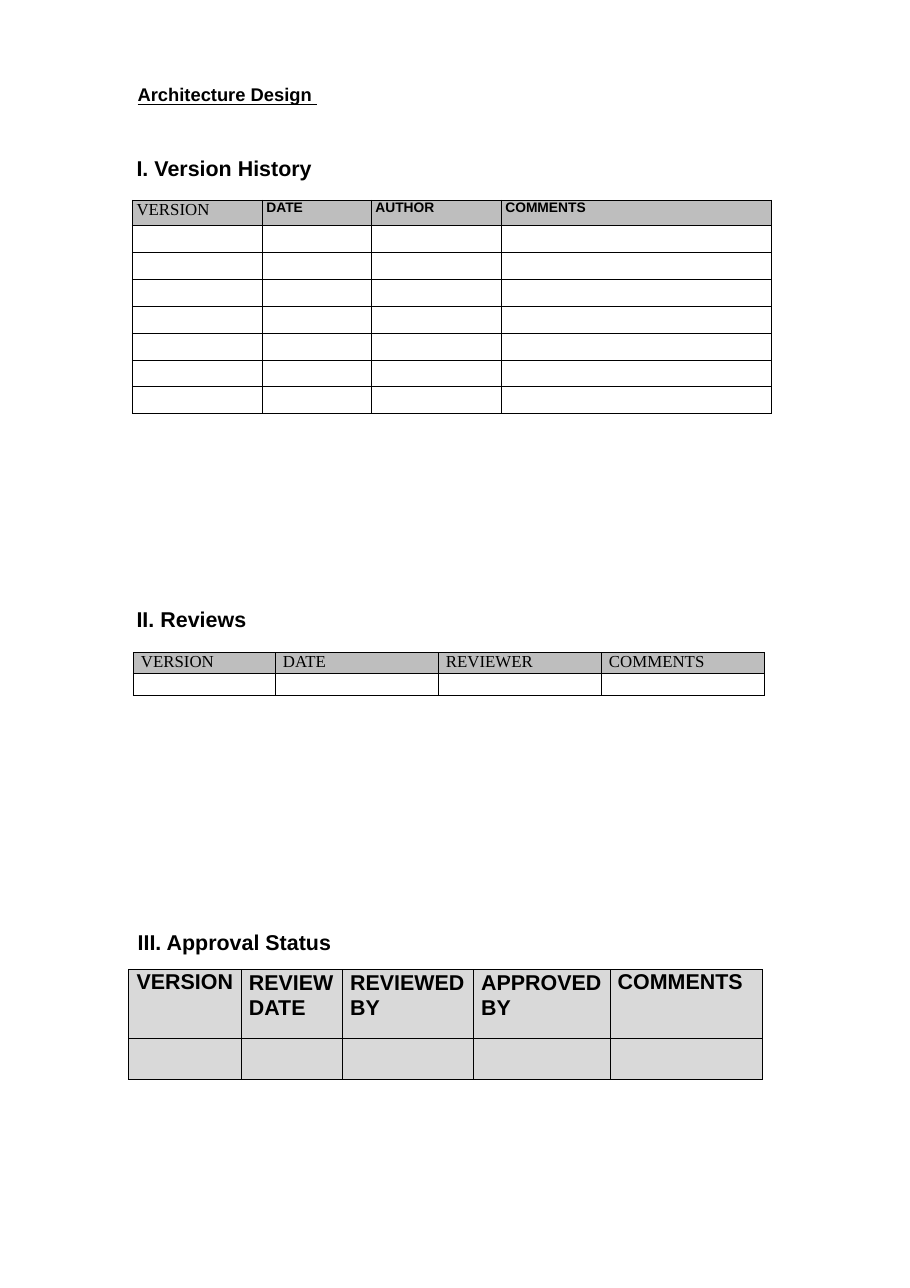
import dataclasses
import typing

import lxml.etree
import pptx
import pptx.dml.color
import pptx.enum.text
import pptx.oxml.ns
import pptx.util

Inches = pptx.util.Inches
Pt = pptx.util.Pt
RGBColor = pptx.dml.color.RGBColor

PAGE_SIZE = {"slide_width": Pt(595), "slide_height": Pt(842.5)}


@dataclasses.dataclass(frozen=True)
class Theme:
    ink: RGBColor = RGBColor(0, 0, 0)
    header_gray: RGBColor = RGBColor(0xBE, 0xBE, 0xBE)
    approval_gray: RGBColor = RGBColor(0xD9, 0xD9, 0xD9)
    sans: str = "Arial"
    serif: str = "Times New Roman"
    title_size: float = 12
    heading_size: float = 14
    serif_label_size: float = 11
    sans_label_size: float = 9
    border_width: float = 0.58


THEME = Theme()


def font_format(name: str, size: float, bold: bool, underline: bool = False) -> dict[str, typing.Any]:
    return {"name": name, "size": Pt(size), "bold": bold, "underline": underline}


TITLE_FONT = font_format(THEME.sans, THEME.title_size, True, True)
HEADING_FONT = font_format(THEME.sans, THEME.heading_size, True)
SERIF_LABEL = font_format(THEME.serif, THEME.serif_label_size, False)
SANS_LABEL = font_format(THEME.sans, THEME.sans_label_size, True)


@dataclasses.dataclass(frozen=True)
class Heading:
    placeholder: int
    text: str
    left: float
    top: float
    width: float
    height: float
    font: dict[str, typing.Any]


@dataclasses.dataclass(frozen=True)
class Column:
    label: str
    width: float
    font: dict[str, typing.Any]
    line_spacing: float = 1.0


@dataclasses.dataclass(frozen=True)
class Form:
    left: float
    top: float
    header_height: float
    empty_height: float
    empty_rows: int
    indent: float
    header_fill: RGBColor
    empty_fill: RGBColor | None
    columns: list[Column]


HEADINGS = [
    Heading(0, "Architecture Design ", 1.25, 0.76, 5.86, 0.2, TITLE_FONT),
    Heading(1, "I. Version History", 1.24, 1.41, 5.86, 0.22, HEADING_FONT),
    Heading(2, "II. Reviews", 1.24, 5.51, 1.02, 0.22, HEADING_FONT),
    Heading(3, "III. Approval Status", 1.25, 8.44, 1.79, 0.22, HEADING_FONT),
]

VERSION_HISTORY = Form(1.2, 1.82, 0.23, 1.71 / 7, 7, 0.04, THEME.header_gray, None, [
    Column("VERSION", 1.18, SERIF_LABEL),
    Column("DATE", 0.99, SANS_LABEL),
    Column("AUTHOR", 1.18, SANS_LABEL),
    Column("COMMENTS", 2.46, SANS_LABEL),
])
REVIEWS = Form(1.21, 5.93, 0.19, 0.2, 1, 0.07, THEME.header_gray, None, [
    Column("VERSION", 1.29, SERIF_LABEL),
    Column("DATE", 1.48, SERIF_LABEL),
    Column("REVIEWER", 1.48, SERIF_LABEL),
    Column("COMMENTS", 1.48, SERIF_LABEL),
])
APPROVAL_STATUS = Form(1.17, 8.81, 0.62, 0.38, 1, 0.07, THEME.approval_gray, THEME.approval_gray, [
    Column("VERSION", 1.02, HEADING_FONT),
    Column("REVIEW DATE", 0.92, HEADING_FONT, 1.04),
    Column("REVIEWED BY", 1.19, HEADING_FONT, 1.04),
    Column("APPROVED BY", 1.24, HEADING_FONT, 1.04),
    Column("COMMENTS", 1.38, HEADING_FONT),
])


def apply(target: typing.Any, values: dict[str, typing.Any]) -> None:
    for attribute, value in values.items():
        setattr(target, attribute, value)


def add_xml(parent: typing.Any, tag: str, **attributes: str) -> typing.Any:
    return lxml.etree.SubElement(parent, pptx.oxml.ns.qn(tag), attributes)


def write(paragraph: typing.Any, text: str, font: dict[str, typing.Any]) -> None:
    run = paragraph.add_run()
    run.text = text
    apply(run.font, font)
    run.font.color.rgb = THEME.ink


def place_heading(slide: typing.Any, heading: Heading) -> None:
    holder = slide.placeholders[heading.placeholder]
    apply(holder, {side: Inches(getattr(heading, side)) for side in ("left", "top", "width", "height")})
    apply(holder.text_frame, {
        "margin_left": 0, "margin_top": 0, "margin_right": 0, "margin_bottom": 0,
        "word_wrap": True,
        "auto_size": pptx.enum.text.MSO_AUTO_SIZE.NONE,
        "vertical_anchor": pptx.enum.text.MSO_ANCHOR.TOP,
    })
    paragraph = holder.text_frame.paragraphs[0]
    apply(paragraph, {
        "alignment": pptx.enum.text.PP_ALIGN.LEFT,
        "space_before": Pt(0), "space_after": Pt(0), "line_spacing": 1.0,
    })
    properties = paragraph._p.get_or_add_pPr()
    properties.set("marL", "0")
    properties.set("indent", "0")
    add_xml(properties, "a:buNone")
    write(paragraph, heading.text, heading.font)


def style_cell(cell: typing.Any, indent: float, fill: RGBColor | None) -> None:
    apply(cell, {"margin_left": Inches(indent), "margin_top": 0, "margin_right": 0, "margin_bottom": 0})
    properties = cell._tc.get_or_add_tcPr()
    for edge in ("a:lnL", "a:lnR", "a:lnT", "a:lnB"):
        border = add_xml(properties, edge, w=str(Pt(THEME.border_width)))
        add_xml(add_xml(border, "a:solidFill"), "a:srgbClr", val=str(THEME.ink))
    if fill is None:
        cell.fill.background()
    else:
        cell.fill.solid()
        cell.fill.fore_color.rgb = fill


def add_form(slide: typing.Any, form: Form) -> None:
    heights = [form.header_height] + [form.empty_height] * form.empty_rows
    table = slide.shapes.add_table(
        len(heights), len(form.columns), Inches(form.left), Inches(form.top),
        Inches(sum(column.width for column in form.columns)), Inches(sum(heights)),
    ).table
    apply(table, {"first_row": False, "horz_banding": False})
    for row, height in zip(table.rows, heights):
        row.height = Inches(height)
    for index, column in enumerate(form.columns):
        table.columns[index].width = Inches(column.width)
        for row_index in range(len(heights)):
            cell = table.cell(row_index, index)
            is_header = row_index == 0
            style_cell(cell, form.indent, form.header_fill if is_header else form.empty_fill)
            paragraph = cell.text_frame.paragraphs[0]
            if is_header:
                paragraph.line_spacing = column.line_spacing
                write(paragraph, column.label, column.font)
            else:
                # Keeps the empty row from growing to the default type size.
                add_xml(paragraph._p, "a:endParaRPr", sz=str(int(THEME.sans_label_size * 100)))


def main() -> None:
    presentation = pptx.Presentation()
    apply(presentation, PAGE_SIZE)
    slide = presentation.slides.add_slide(presentation.slide_layouts.get_by_name("Comparison"))
    for heading in HEADINGS:
        place_heading(slide, heading)
    for holder in list(slide.placeholders):
        if not holder.text_frame.text:
            holder.element.getparent().remove(holder.element)
    for form in (VERSION_HISTORY, REVIEWS, APPROVAL_STATUS):
        add_form(slide, form)
    presentation.save("out.pptx")


if __name__ == "__main__":
    main()
